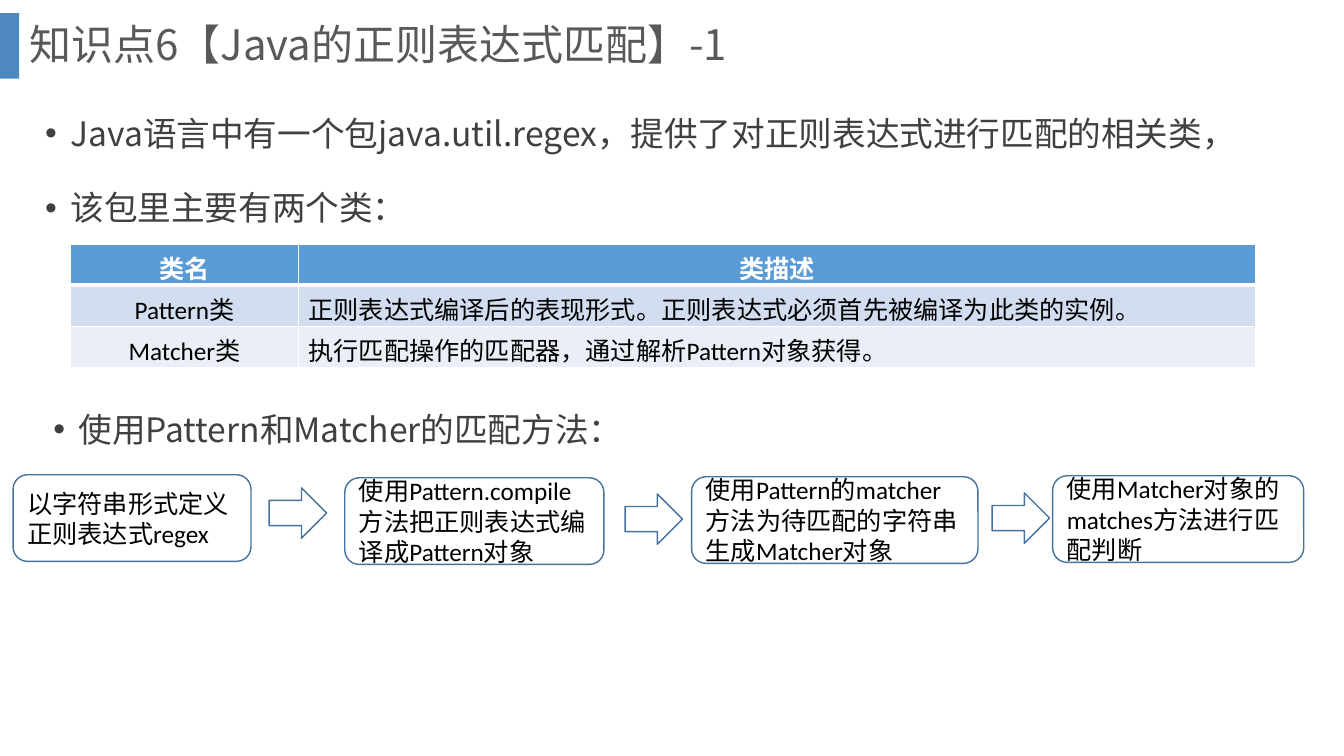
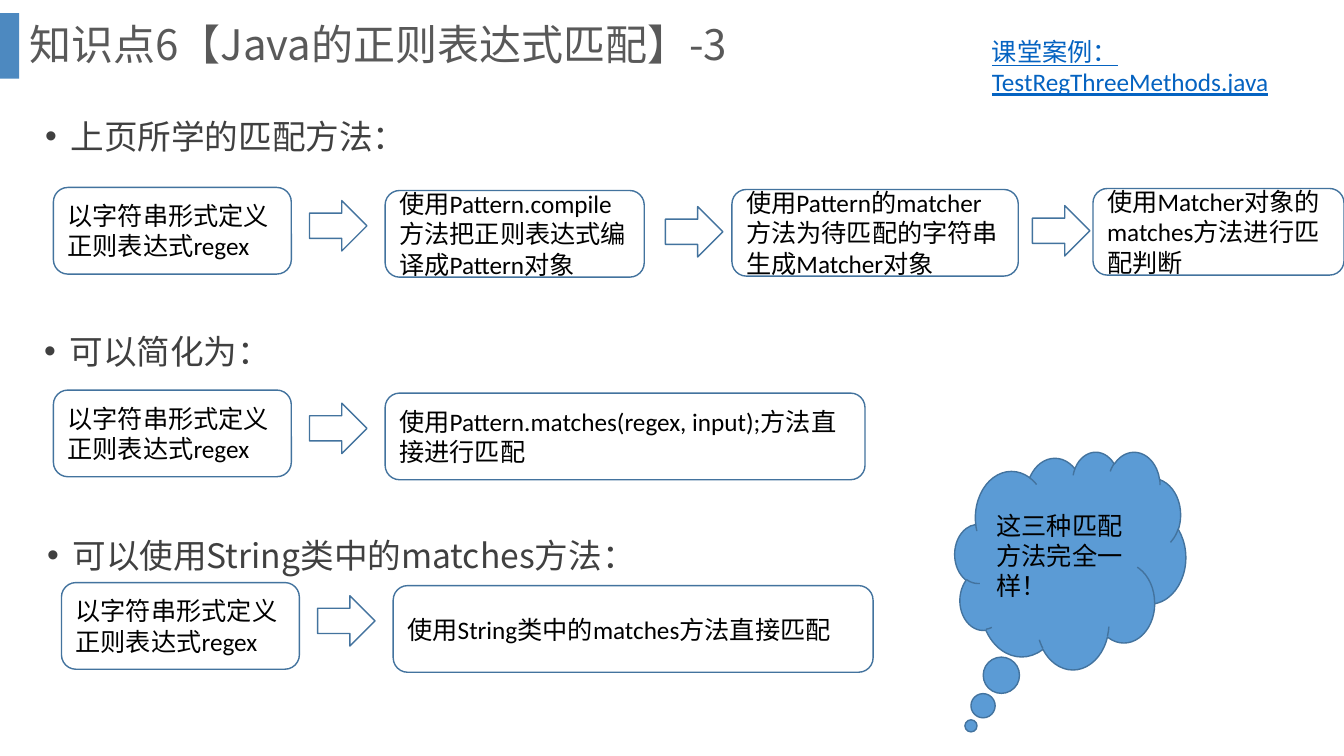
import pptx
import pptx.util
import pptx.dml.color
import pptx.enum.shapes
import pptx.enum.text
import pptx.oxml.ns
from lxml import etree

Inches, Pt = pptx.util.Inches, pptx.util.Pt
SHAPE = pptx.enum.shapes.MSO_SHAPE
ALIGN = pptx.enum.text.PP_ALIGN
ANCHOR = pptx.enum.text.MSO_ANCHOR
qn = pptx.oxml.ns.qn

COLORS = {
    "bar": "2E75B6", "title": "595959", "bullet": "404040", "text": "000000",
    "line": "43739E", "accent": "5B9BD5", "white": "FFFFFF", "link": "0563C1",
    "row_dark": "D2DEEF", "row_light": "EAEFF7",
}
CJK, LATIN = "Noto Sans CJK SC", "Calibri"

DEFINE = "以字符串形式定义正则表达式regex"
# Each step: text, left offset, top offset, width
FULL_FLOW = [
    (DEFINE, 0, 0, 2.36),
    ("使用Pattern.compile方法把正则表达式编译成Pattern对象", 3.29, 0.03, 2.57),
    ("使用Pattern的matcher方法为待匹配的字符串生成Matcher对象", 6.73, 0.02, 2.84),
    ("使用Matcher对象的matches方法进行匹配判断", 10.31, 0.01, 2.49),
]
# Left and top offset of the arrow after each step
ARROWS = [(2.54, 0.13), (6.07, 0.19), (9.71, 0.18)]


def rgb(name):
    return pptx.dml.color.RGBColor.from_string(COLORS[name])


class Deck:
    def __init__(self):
        self.prs = pptx.Presentation()
        self.prs.slide_width = Inches(13.33)
        self.prs.slide_height = Inches(7.5)
        self.slide = None

    def format_runs(self, p, size, color, font=LATIN, bold=False, underline=False):
        for r in p.runs:
            r.font.size = Pt(size)
            r.font.name = font
            r.font.bold = bold
            r.font.underline = underline
            r.font.color.rgb = rgb(color)
            ea = etree.Element(qn("a:ea"), typeface=CJK)
            r.font._element.find(qn("a:latin")).addnext(ea)

    def place(self, sp, left, top, width, height):
        sp.left, sp.top = Inches(left), Inches(top)
        sp.width, sp.height = Inches(width), Inches(height)

    def new_slide(self, title):
        """Start a slide with its side bar and title."""
        self.slide = self.prs.slides.add_slide(self.prs.slide_layouts[5])
        bar = self.shape(SHAPE.RECTANGLE, 0, 0.13, 0.19, 0.65, fill="bar", line=None)
        color = bar.fill._xPr.find(qn("a:solidFill"))[0]
        etree.SubElement(color, qn("a:alpha"), val="85000")
        sp = self.slide.shapes.title
        self.place(sp, 0.19, 0, 12.66, 0.93)
        tf = sp.text_frame
        tf.text = title
        tf.auto_size = pptx.enum.text.MSO_AUTO_SIZE.NONE
        tf.vertical_anchor = ANCHOR.MIDDLE
        p = tf.paragraphs[0]
        p.alignment = ALIGN.LEFT
        p.line_spacing = 0.9
        self.format_runs(p, 30, "title", CJK)

    def shape(self, kind, left, top, width, height, text="", fill=None, line="line"):
        sp = self.slide.shapes.add_shape(
            kind, Inches(left), Inches(top), Inches(width), Inches(height))
        sp.shadow.inherit = False
        if fill:
            sp.fill.solid()
            sp.fill.fore_color.rgb = rgb(fill)
        else:
            sp.fill.background()
        if line:
            sp.line.color.rgb = rgb(line)
            sp.line.width = Pt(1)
        else:
            sp.line.fill.background()
        if text:
            tf = sp.text_frame
            tf.text = text
            tf.word_wrap = True
            tf.vertical_anchor = ANCHOR.MIDDLE
            tf.paragraphs[0].alignment = ALIGN.LEFT
            self.format_runs(tf.paragraphs[0], 18, "text")
        return sp

    def text_box(self, lines, left, top, width, height):
        sp = self.slide.shapes.add_textbox(
            Inches(left), Inches(top), Inches(width), Inches(height))
        tf = sp.text_frame
        tf.word_wrap = True
        tf.text = "\n".join(lines)
        return tf.paragraphs

    def bullets(self, left, top, *lines):
        for p in self.text_box(lines, left, top, 12.05, 0.62 * len(lines)):
            p.line_spacing = 1.5
            p.space_before = Pt(10)
            pPr = p._p.get_or_add_pPr()
            pPr.set("marL", str(Inches(0.25)))
            pPr.set("indent", str(-Inches(0.25)))
            etree.SubElement(pPr, qn("a:buFont"), typeface="Arial")
            etree.SubElement(pPr, qn("a:buChar"), char="•")
            self.format_runs(p, 24, "bullet", CJK)

    def link_label(self, left, top, *lines):
        for p in self.text_box(lines, left, top, 3.03, 0.71):
            self.format_runs(p, 18, "link", underline=True)

    def flow(self, left, top, steps):
        """Draw a row of step boxes with an arrow between neighbours."""
        for text, dx, dy, width in steps:
            self.shape(SHAPE.ROUNDED_RECTANGLE, left + dx, top + dy, width, 0.86, text)
        for dx, dy in ARROWS[:len(steps) - 1]:
            self.shape(SHAPE.RIGHT_ARROW, left + dx, top + dy, 0.57, 0.5)

    def short_flow(self, left, top, text):
        self.flow(left, top, [FULL_FLOW[0], (text, 3.29, 0.03, 4.76)])

    def table(self, left, top, widths, row_height, rows):
        table = self.slide.shapes.add_table(
            len(rows), len(widths), Inches(left), Inches(top),
            Inches(sum(widths)), Inches(row_height * len(rows))).table
        for column, width in zip(table.columns, widths):
            column.width = Inches(width)
        fills = ["accent", "row_dark", "row_light"]
        for i, row in enumerate(rows):
            header = i == 0
            for j, text in enumerate(row):
                cell = table.cell(i, j)
                cell.text = text
                cell.fill.solid()
                cell.fill.fore_color.rgb = rgb(fills[i])
                p = cell.text_frame.paragraphs[0]
                p.alignment = ALIGN.CENTER if header or j == 0 else ALIGN.LEFT
                self.format_runs(p, 18, "white" if header else "text", bold=header)
                self.cell_borders(cell, 3 if header else 1)

    def cell_borders(self, cell, bottom):
        tcPr = cell._tc.get_or_add_tcPr()
        for i, (side, width) in enumerate(
                [("L", 1), ("R", 1), ("T", 1), ("B", bottom)]):
            ln = etree.Element(qn("a:ln" + side), w=str(Pt(width)))
            fill = etree.SubElement(ln, qn("a:solidFill"))
            etree.SubElement(fill, qn("a:srgbClr"), val=COLORS["white"])
            tcPr.insert(i, ln)

    def cloud(self, left, top, width, height, text, tail):
        sp = self.shape(SHAPE.CLOUD_CALLOUT, left, top, width, height, text, "accent")
        sp.adjustments[0], sp.adjustments[1] = tail


def classes_slide(deck):
    deck.new_slide("知识点6【Java的正则表达式匹配】-1")
    deck.bullets(0.35, 0.87,
                 "Java语言中有一个包java.util.regex，提供了对正则表达式进行匹配的相关类，",
                 "该包里主要有两个类：")
    deck.table(0.7, 2.42, [2.26, 9.49], 0.41, [
        ("类名", "类描述"),
        ("Pattern类", "正则表达式编译后的表现形式。正则表达式必须首先被编译为此类的实例。"),
        ("Matcher类", "执行匹配操作的匹配器，通过解析Pattern对象获得。"),
    ])
    deck.bullets(0.43, 3.81, "使用Pattern和Matcher的匹配方法：")
    deck.flow(0.13, 4.71, FULL_FLOW)


def methods_slide(deck):
    deck.new_slide("知识点6【Java的正则表达式匹配】-3")
    deck.link_label(9.74, 0.31, "课堂案例：", "TestRegThreeMethods.java")
    deck.bullets(0.35, 0.9, "上页所学的匹配方法：")
    deck.flow(0.53, 1.86, FULL_FLOW)
    deck.bullets(0.34, 3.03, "可以简化为：")
    deck.short_flow(0.53, 3.87, "使用Pattern.matches(regex, input);方法直接进行匹配")
    deck.bullets(0.37, 5.06, "可以使用String类中的matches方法：")
    deck.short_flow(0.61, 5.78, "使用String类中的matches方法直接匹配")
    deck.cloud(9.47, 4.48, 2.29, 2.16, "这三种匹配方法完全一样！", (-0.43, 0.76))


def main():
    deck = Deck()
    classes_slide(deck)
    methods_slide(deck)
    deck.prs.save("out.pptx")


if __name__ == "__main__":
    main()
